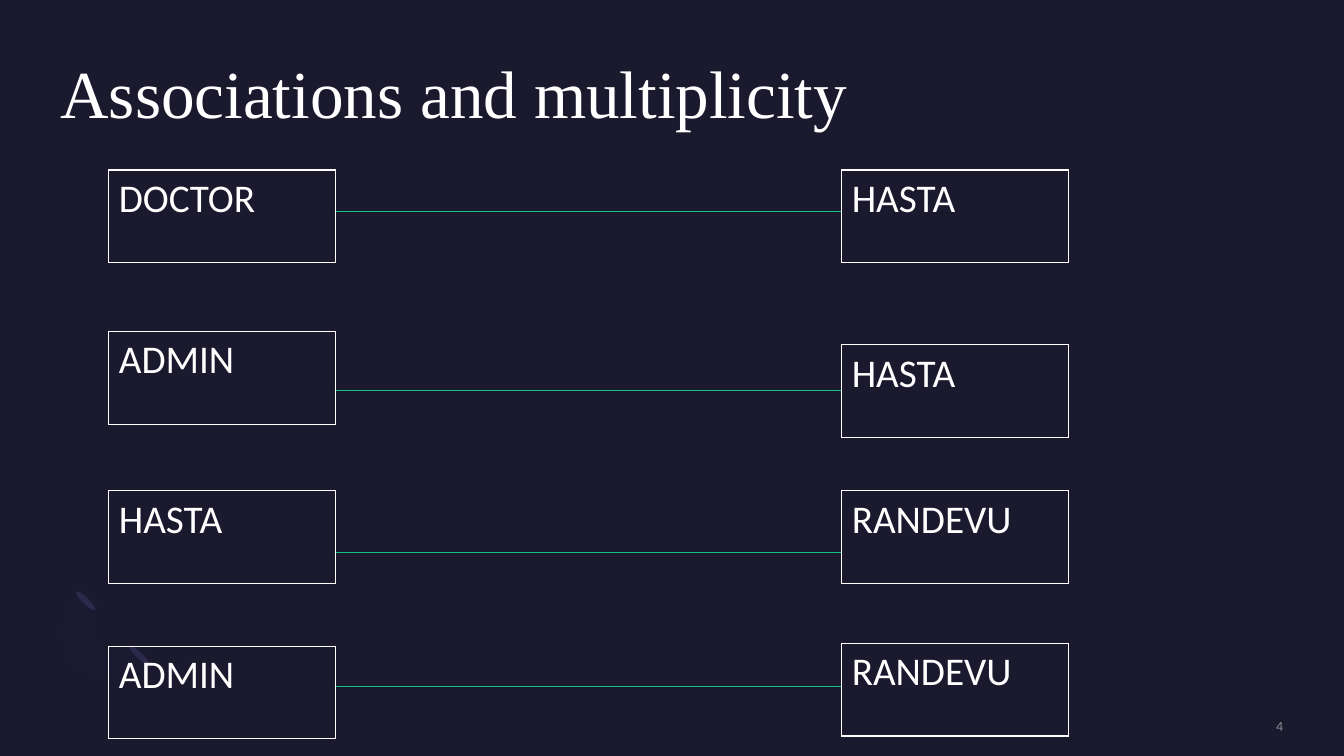
from lxml import etree
from pptx import Presentation
from pptx.dml.color import RGBColor
from pptx.enum.shapes import MSO_CONNECTOR, MSO_SHAPE
from pptx.enum.text import MSO_ANCHOR, MSO_AUTO_SIZE, PP_ALIGN
from pptx.oxml.ns import qn
from pptx.util import Pt

STRAIGHT = MSO_CONNECTOR.STRAIGHT
ELLIPSE = MSO_SHAPE.OVAL
TOP, MIDDLE = MSO_ANCHOR.TOP, MSO_ANCHOR.MIDDLE
LEFT, RIGHT = PP_ALIGN.LEFT, PP_ALIGN.RIGHT

NAVY = RGBColor(0x1B, 0x19, 0x2E)
INDIGO = RGBColor(0x2C, 0x28, 0x4A)
LILAC = RGBColor(0x77, 0x71, 0xB2)
GREEN = RGBColor(0x13, 0xBE, 0x89)
WHITE = RGBColor(0xFF, 0xFF, 0xFF)
GREY = RGBColor(0x8A, 0x8A, 0x8E)

LEFT_BOX, RIGHT_BOX = 77.75, 601.2
BOX_WIDTH, BOX_HEIGHT = 162, 66.25


def write(frame, text, alignment, **font_values):
    frame.text = text
    paragraph = frame.paragraphs[0]
    paragraph.alignment = alignment
    font = paragraph.runs[0].font
    font.color.rgb = font_values.pop("color")
    for name, value in font_values.items():
        setattr(font, name, value)


def add_entity(slide, text, left, top):
    frame = slide.shapes.add_table(1, 1, Pt(left), Pt(top), Pt(BOX_WIDTH), Pt(BOX_HEIGHT))
    table = frame.table
    table.first_row = table.horz_banding = False
    cell = table.cell(0, 0)
    properties = cell._tc.get_or_add_tcPr()
    for side in ("a:lnL", "a:lnR", "a:lnT", "a:lnB"):
        border = etree.SubElement(properties, qn(side), w=str(Pt(1)))
        fill = etree.SubElement(border, qn("a:solidFill"))
        etree.SubElement(fill, qn("a:srgbClr"), val=str(WHITE))
    cell.fill.background()
    write(cell.text_frame, text, LEFT, name="Calibri", size=Pt(28), bold=False, color=WHITE)


presentation = Presentation()
presentation.slide_width, presentation.slide_height = Pt(960), Pt(540)
slide = presentation.slides.add_slide(presentation.slide_layouts[5])
slide.background.fill.solid()
slide.background.fill.fore_color.rgb = NAVY

# Corner ornament: two ellipses and a faint open ring
ornaments = []
for left, top in [(97.2, 458.6), (59, 419.8)]:
    ellipse = slide.shapes.add_shape(ELLIPSE, Pt(left), Pt(top), Pt(4.3), Pt(18.7))
    ellipse.rotation = 135
    ornaments.append((ellipse, INDIGO))

ring_sides = [
    [(54.7, 474.5), (40.3, 460.1), (41.8, 435.6), (58.3, 419)],
    [(71.3, 432), (62.6, 439.9), (61.9, 452.9), (69.1, 459.4)],
    [(69.1, 459.4), (76.3, 466.6), (88.6, 465.8), (97.2, 457.9)],
    [(109.4, 470.9), (93.6, 486.7), (68.4, 488.9), (54.7, 474.5)],
]
ring_points = []
for curve in ring_sides:
    for step in range(13):
        t = step / 12
        weights = ((1 - t) ** 3, 3 * t * (1 - t) ** 2, 3 * t ** 2 * (1 - t), t ** 3)
        ring_points.append(tuple(
            sum(weight * point[axis] for weight, point in zip(weights, curve)) for axis in (0, 1)))
builder = slide.shapes.build_freeform(*ring_points[0], scale=Pt(1))
builder.add_line_segments(ring_points[1:], close=True)
ring = builder.convert_to_shape()
ornaments.append((ring, LILAC))

for shape, color in ornaments:
    shape.fill.solid()
    shape.fill.fore_color.rgb = color
    shape.line.fill.background()
    shape.shadow.inherit = False
ring_color = ring._element.spPr.find(qn("a:solidFill")).find(qn("a:srgbClr"))
etree.SubElement(ring_color, qn("a:alpha"), val="2000")

# Title and slide number
title = slide.shapes.title
title.left, title.top, title.width, title.height = Pt(43.2), Pt(43.2), Pt(829.4), Pt(53.3)
number = slide.shapes.add_textbox(Pt(783.4), Pt(512.6), Pt(133.2), Pt(12.2))
for shape, anchor in [(title, TOP), (number, MIDDLE)]:
    frame_values = {
        "margin_left": 0, "margin_right": 0, "margin_top": 0, "margin_bottom": 0,
        "word_wrap": True, "auto_size": MSO_AUTO_SIZE.NONE, "vertical_anchor": anchor,
    }
    for name, value in frame_values.items():
        setattr(shape.text_frame, name, value)
write(title.text_frame, "Associations and multiplicity", LEFT,
      name="Times New Roman", size=Pt(48), color=WHITE)
title.text_frame.paragraphs[0].line_spacing = 0.9
write(number.text_frame, "4", RIGHT, name="Calibri", size=Pt(10), color=GREY)

# Associations: left entity and top, right entity and top, line height
associations = [
    ("DOCTOR", 121.5, "HASTA", 121.5, 151.2),
    ("ADMIN", 236.9, "HASTA", 246.2, 279),
    ("HASTA", 350.6, "RANDEVU", 350.6, 394.6),
    ("ADMIN", 461.5, "RANDEVU", 459.4, 490.3),
]
for left_text, left_top, right_text, right_top, line_y in associations:
    add_entity(slide, left_text, LEFT_BOX, left_top)
    line = slide.shapes.add_connector(
        STRAIGHT, Pt(LEFT_BOX + BOX_WIDTH), Pt(line_y), Pt(RIGHT_BOX), Pt(line_y))
    line.line.color.rgb = GREEN
    line.line.width = Pt(0.5)
    etree.SubElement(line._element.spPr, qn("a:effectLst"))
    add_entity(slide, right_text, RIGHT_BOX, right_top)

presentation.save("out.pptx")
